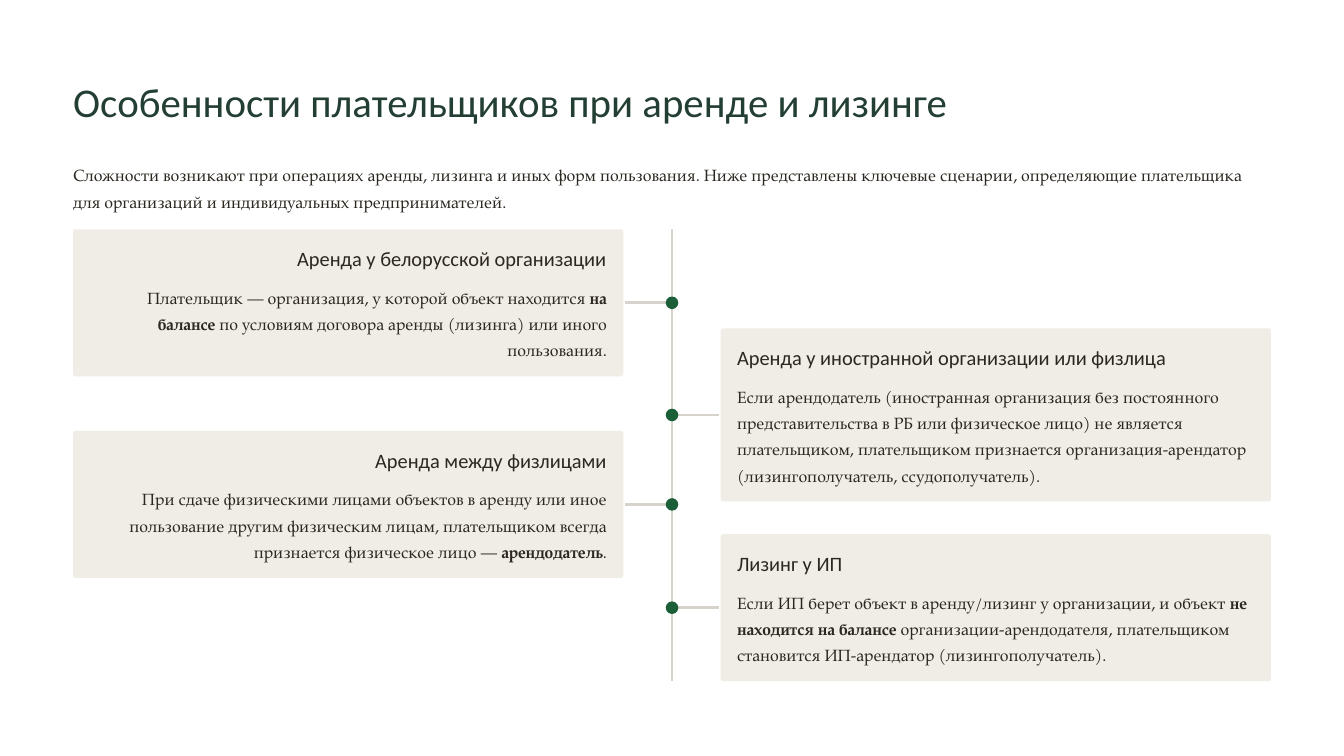
from dataclasses import dataclass

from lxml import etree
from pptx import Presentation
from pptx.dml.color import RGBColor
from pptx.enum import shapes, text
from pptx.oxml import ns
from pptx.util import Inches, Pt


@dataclass(frozen=True)
class Theme:
    title_color: RGBColor = RGBColor.from_string("233E32")
    ink: RGBColor = RGBColor.from_string("2C2821")
    card: RGBColor = RGBColor.from_string("F0EDE6")
    line: RGBColor = RGBColor.from_string("D6D3CC")
    dot: RGBColor = RGBColor.from_string("1B5F39")
    heading_font: str = "Calibri"
    body_font: str = "TeX Gyre Pagella"
    title_size: float = 35
    heading_size: float = 17.5
    body_size: float = 14
    title_leading: float = 43.5
    heading_leading: float = 21.5
    body_leading: float = 22.5
    line_width: float = 2.25


THEME = Theme()
LEFT, RIGHT = text.PP_ALIGN.LEFT, text.PP_ALIGN.RIGHT
MARGIN, CONTENT_WIDTH = 0.87, 14.26
CARD_WIDTH, PADDING = 6.55, 0.195
SPINE_X, TIMELINE_TOP, TIMELINE_HEIGHT = 8.0, 2.73, 5.38
STUB_LENGTH, DOT_SIZE = 0.56, 0.15

SCENARIOS = [
    (LEFT, 2.73, 1.75, "Аренда у белорусской организации", [
        ("Плательщик — организация, у которой объект находится ", False),
        ("на балансе", True),
        (" по условиям договора аренды (лизинга) или иного пользования.", False)]),
    (RIGHT, 3.91, 2.06, "Аренда у иностранной организации или физлица", [
        ("Если арендодатель (иностранная организация без постоянного "
         "представительства в РБ или физическое лицо) не является плательщиком, "
         "плательщиком признается организация-арендатор "
         "(лизингополучатель, ссудополучатель).", False)]),
    (LEFT, 5.13, 1.75, "Аренда между физлицами", [
        ("При сдаче физическими лицами объектов в аренду или иное пользование "
         "другим физическим лицам, плательщиком всегда признается "
         "физическое лицо — ", False),
        ("арендодатель", True),
        (".", False)]),
    (RIGHT, 6.36, 1.75, "Лизинг у ИП", [
        ("Если ИП берет объект в аренду/лизинг у организации, и объект ", False),
        ("не находится на балансе", True),
        (" организации-арендодателя, плательщиком становится "
         "ИП-арендатор (лизингополучатель).", False)]),
]


def add_text(page, left, top, width, height, spans, font, size, leading,
             color=THEME.ink, align=LEFT):
    box = page.shapes.add_textbox(*map(Inches, (left, top, width, height)))
    frame = box.text_frame
    frame.word_wrap = True
    frame.margin_left = frame.margin_right = 0
    frame.margin_top = frame.margin_bottom = 0
    para = frame.paragraphs[0]
    para.alignment = align
    para.line_spacing = Pt(leading)
    for words, bold in spans:
        span = para.add_run()
        span.text = words
        span.font.name = font
        span.font.size = Pt(size)
        span.font.bold = bold
        span.font.color.rgb = color


def add_filled(page, kind, left, top, width, height, color):
    shape = page.shapes.add_shape(kind, *map(Inches, (left, top, width, height)))
    shape.shadow.inherit = False
    shape.fill.solid()
    shape.fill.fore_color.rgb = color
    shape.line.fill.background()
    return shape


def add_line(page, x1, y1, x2, y2):
    line = page.shapes.add_connector(
        shapes.MSO_CONNECTOR.STRAIGHT, *map(Inches, (x1, y1, x2, y2)))
    line.line.color.rgb = THEME.line
    line.line.width = Pt(THEME.line_width)
    etree.SubElement(line._element.spPr, ns.qn("a:effectLst"))


def add_header(page, left, top, width):
    add_text(page, left, top, width, 0.61,
             [("Особенности плательщиков при аренде и лизинге", False)],
             THEME.heading_font, THEME.title_size, THEME.title_leading,
             THEME.title_color)
    add_text(page, left, top + 1, width, 0.62,
             [("Сложности возникают при операциях аренды, лизинга и иных форм "
               "пользования. Ниже представлены ключевые сценарии, определяющие "
               "плательщика для организаций и индивидуальных предпринимателей.",
               False)],
             THEME.body_font, THEME.body_size, THEME.body_leading)


def add_marker(page, side, x, y):
    direction = -1 if side == LEFT else 1
    add_line(page, x, y, x + direction * STUB_LENGTH, y)
    add_filled(page, shapes.MSO_SHAPE.OVAL, x - DOT_SIZE / 2, y - DOT_SIZE / 2,
               DOT_SIZE, DOT_SIZE, THEME.dot)


def add_card(page, left, top, width, height, heading, spans, align):
    card = add_filled(page, shapes.MSO_SHAPE.ROUNDED_RECTANGLE,
                      left, top, width, height, THEME.card)
    card.adjustments[0] = 0.03 / height
    inner_left, inner_width = left + PADDING, width - 2 * PADDING
    add_text(page, inner_left, top + PADDING, inner_width, 0.31,
             [(heading, False)], THEME.heading_font, THEME.heading_size,
             THEME.heading_leading, align=align)
    add_text(page, inner_left, top + 0.62, inner_width, height - 0.81, spans,
             THEME.body_font, THEME.body_size, THEME.body_leading, align=align)


def add_timeline(page, left, top, width, height):
    add_line(page, SPINE_X, top, SPINE_X, top + height)
    for side, card_top, card_height, heading, spans in SCENARIOS:
        add_marker(page, side, SPINE_X, card_top + card_height / 2)
        card_left = left if side == LEFT else left + width - CARD_WIDTH
        align = RIGHT if side == LEFT else LEFT
        add_card(page, card_left, card_top, CARD_WIDTH, card_height,
                 heading, spans, align)


def main():
    deck = Presentation()
    deck.slide_width, deck.slide_height = Inches(16), Inches(9)
    page = deck.slides.add_slide(deck.slide_layouts[6])
    add_header(page, MARGIN, 0.89, CONTENT_WIDTH)
    add_timeline(page, MARGIN, TIMELINE_TOP, CONTENT_WIDTH, TIMELINE_HEIGHT)
    deck.save("out.pptx")


if __name__ == "__main__":
    main()
